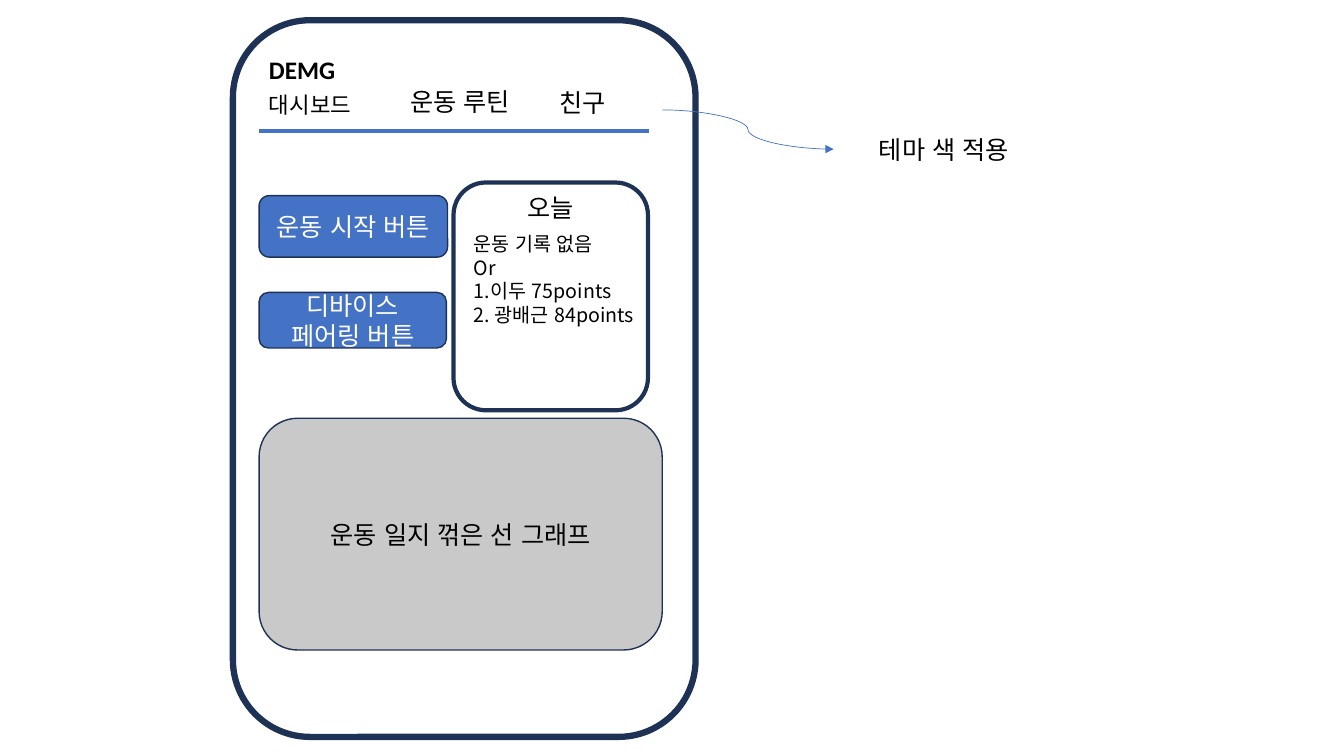
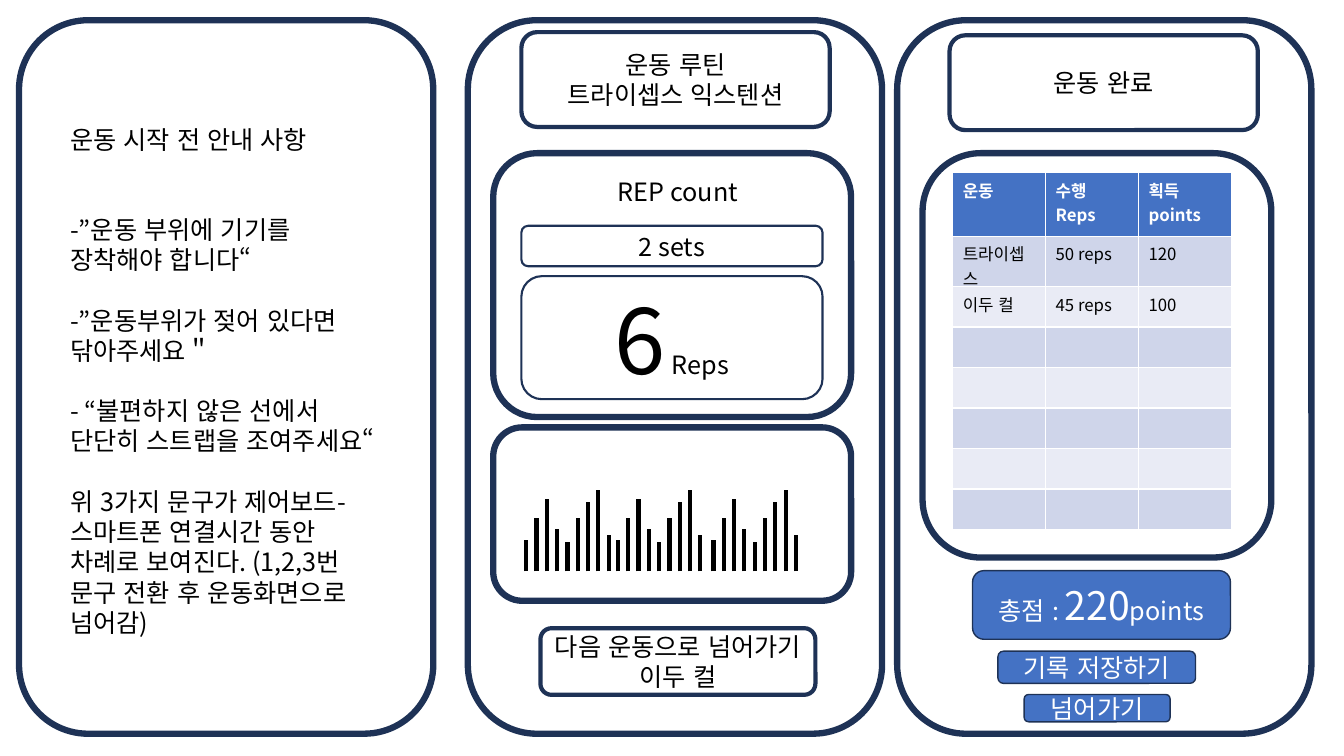
from dataclasses import dataclass
from typing import Any

from lxml.etree import SubElement
from pptx import Presentation
from pptx.dml.color import RGBColor
from pptx.enum.lang import MSO_LANGUAGE_ID as LANG
from pptx.enum.shapes import MSO_CONNECTOR as LINK, MSO_SHAPE as SHAPE
from pptx.enum.text import MSO_ANCHOR as ANCHOR, PP_ALIGN as ALIGN
from pptx.oxml.ns import qn
from pptx.util import Cm, Pt

NAVY = RGBColor(0x1E, 0x32, 0x56)
BLUE = RGBColor(0x44, 0x72, 0xC4)
GREY = RGBColor(0xC9, 0xC9, 0xC9)
DARK_BAND = RGBColor(0xCF, 0xD5, 0xEA)
PALE_BAND = RGBColor(0xE9, 0xEB, 0xF5)
BLACK = RGBColor(0, 0, 0)
WHITE = RGBColor(255, 255, 255)
FONT = "Noto Sans CJK KR"
THICK, MID, THIN, FINE = 4.5, 3, 1.5, 1

BARS = (0.79, 1.35, 1.83, 1.07, 0.74, 1.35, 1.75, 2.06, 0.91)
BAR_STEP = 0.26
WAVES = (0, 2.31, 4.72)

NOTES = (
    (0, "운동 시작 전 안내 사항"),
    (43, "-”운동 부위에 기기를 장착해야 합니다“"),
    (21.5, "-”운동부위가 젖어 있다면 닦아주세요＂"),
    (21.5, "- “불편하지 않은 선에서 단단히 스트랩을 조여주세요“"),
    (21.5, "위 3가지 문구가 제어보드-스마트폰 연결시간 동안"),
    (0, "차례로 보여진다. (1,2,3번 문구 전환 후 운동화면으로 넘어감)"),
)
HEADS = ("운동", "수행 Reps", "획득 points")
SCORES = (("트라이셉스", "50 reps", "120"), ("이두 컬", "45 reps", "100"))
BLANK_ROWS = 5


def add_run(para, text, size=18, color=BLACK, bold=False, font=FONT):
    run = para.add_run()
    run.text = text
    face = run.font
    face.size, face.bold, face.name = Pt(size), bold, font
    face.language_id = LANG.KOREAN
    face.color.rgb = color
    SubElement(run._r.get_or_add_rPr(), qn("a:ea")).set("typeface", font)


def write(frame, lines, align=None, **style):
    """Fill a text frame; a line is a string or a list of (text, size) runs."""
    for i, line in enumerate(lines):
        para = frame.paragraphs[0] if i == 0 else frame.add_paragraph()
        para.alignment = align
        if isinstance(line, str):
            add_run(para, line, **style)
        else:
            for text, size in line:
                add_run(para, text, size, **style)


@dataclass
class Pane:
    """A region of a slide; its parts are placed from its top left, in cm."""
    shapes: Any
    left: float
    top: float

    def spot(self, x, y):
        return Cm(self.left + x), Cm(self.top + y)

    def panel(self, x, y, w, h, *lines, width=FINE, fill=None, color=BLACK):
        box = self.shapes.add_shape(SHAPE.ROUNDED_RECTANGLE,
                                    *self.spot(x, y), Cm(w), Cm(h))
        box.shadow.inherit = False
        box.line.color.rgb, box.line.width = NAVY, Pt(width)
        if fill is None:
            box.fill.background()
        else:
            box.fill.solid()
            box.fill.fore_color.rgb = fill
        frame = box.text_frame
        frame.word_wrap, frame.vertical_anchor = True, ANCHOR.MIDDLE
        write(frame, lines, ALIGN.CENTER, color=color)
        return box

    def button(self, x, y, w, h, *lines):
        self.panel(x, y, w, h, *lines, fill=BLUE, color=WHITE)

    def label(self, x, y, w, h, *lines, **style):
        frame = self.shapes.add_textbox(*self.spot(x, y), Cm(w), Cm(h)).text_frame
        frame.word_wrap = True
        write(frame, lines, **style)
        return frame

    def line(self, start, end, color, width, kind=LINK.STRAIGHT, arrow=False):
        link = self.shapes.add_connector(kind, *self.spot(*start), *self.spot(*end))
        link.line.color.rgb, link.line.width = color, Pt(width)
        if arrow:
            SubElement(link.line._get_or_add_ln(), qn("a:tailEnd")).set("type", "triangle")
        SubElement(link._element.spPr, qn("a:effectLst"))

    def inner(self, x, y):
        return Pane(self.shapes, self.left + x, self.top + y)


def add_phone(slide, x, w=10.44, h=17.98):
    pane = Pane(slide.shapes, x, 0.51)
    pane.panel(0, 0, w, h, width=THICK)
    return pane


def draw_menu(pane):
    pane.label(0.66, 0.74, 2.72, 1.02, "DEMG", bold=True, font="Calibri")
    pane.label(0.66, 1.65, 3, 0.94, "대시보드", size=16)
    pane.label(4.22, 1.55, 3.45, 1.02, "운동 루틴")
    pane.label(7.98, 1.57, 2.97, 1.02, "친구")
    pane.line((0.66, 2.79), (10.49, 2.79), BLUE, MID)
    pane.line((10.82, 2.26), (15.14, 3.25), BLUE, 0.5, LINK.CURVE, arrow=True)
    pane.label(16.03, 2.74, 8.2, 1.02, "테마 색 적용")


def draw_today(pane):
    frame = pane.panel(0, 0, 4.9, 5.74, "오늘", width=MID).text_frame
    frame.vertical_anchor, frame.margin_top = ANCHOR.TOP, 0
    pane.label(0.26, 1.12, 4.72, 3.25, "운동 기록 없음", "Or",
               "1.이두 75points", "2. 광배근 84points", size=14)


def draw_home(slide):
    pane = add_phone(slide, 5.87, 11.66, 18.06)
    draw_menu(pane)
    pane.panel(0.66, 10.03, 10.16, 5.84, "운동 일지 꺾은 선 그래프", fill=GREY)
    draw_today(pane.inner(5.56, 4.09))
    pane.button(0.66, 4.42, 4.75, 1.55, "운동 시작 버튼")
    pane.button(0.66, 6.86, 4.72, 1.4, "디바이스 페어링 버튼")


def draw_guide(pane):
    frame = pane.label(1.04, 2.49, 8.53, 12.52, *(text for _, text in NOTES))
    for para, (gap, _) in zip(frame.paragraphs, NOTES):
        para.space_before = Pt(gap)


def draw_count(pane):
    pane.panel(0, 0, 9.02, 6.65, width=THICK)
    pane.label(2.89, 0.46, 4.11, 1.02, "REP count")
    pane.panel(0.71, 1.83, 7.59, 1.02, "2 sets", width=THIN)
    pane.panel(0.71, 3.1, 7.59, 3.1, [("6", 66), (" Reps", 18)], width=THIN)


def draw_signal(pane):
    pane.panel(0, 0, 9.02, 4.37, width=THICK)
    base = 3.63
    for start in WAVES:
        for i, height in enumerate(BARS):
            x = 0.83 + start + i * BAR_STEP
            pane.line((x, base), (x, base - height), BLACK, MID)


def draw_set(pane):
    pane.panel(1.35, 0.3, 7.77, 2.39, "운동 루틴", "트라이셉스 익스텐션", width=MID)
    draw_count(pane.inner(0.64, 3.35))
    draw_signal(pane.inner(0.64, 10.26))
    pane.panel(1.83, 15.32, 6.93, 1.68, "다음 운동으로 넘어가기 이두 컬", width=MID)


def draw_scores(pane):
    rows = [HEADS, *SCORES] + [("",) * len(HEADS)] * BLANK_ROWS
    col, head, body = 2.34, 1.6, 1.02
    table = pane.shapes.add_table(
        len(rows), len(HEADS), *pane.spot(0, 0), Cm(col * len(HEADS)),
        Cm(head + body * (len(rows) - 1))).table
    for part in table.columns:
        part.width = Cm(col)
    for i, row in enumerate(rows):
        table.rows[i].height = Cm(body if i else head)
        fill = (DARK_BAND if i % 2 else PALE_BAND) if i else BLUE
        for j, text in enumerate(row):
            cell = table.cell(i, j)
            cell.fill.solid()
            cell.fill.fore_color.rgb = fill
            if text:
                write(cell.text_frame, [text], size=12, bold=i == 0,
                      color=BLACK if i else WHITE)


def draw_done(pane):
    pane.panel(1.32, 0.38, 7.77, 2.39, "운동 완료", width=MID)
    pane.panel(0.64, 3.35, 8.79, 10.19, width=THICK)
    draw_scores(pane.inner(1.4, 3.84))
    pane.button(2.54, 15.9, 4.98, 0.81, "기록 저장하기")
    pane.button(3.2, 16.99, 3.68, 0.69, "넘어가기")
    pane.button(1.9, 13.87, 6.5, 1.73, [("총점 : ", 18), ("220", 28), ("points", 18)])


def draw_flow(slide):
    for x, draw in ((0.48, draw_guide), (11.79, draw_set), (22.61, draw_done)):
        draw(add_phone(slide, x))


def main():
    deck = Presentation()
    deck.slide_width, deck.slide_height = Cm(33.87), Cm(19.05)
    blank = deck.slide_layouts[6]
    for draw in (draw_home, draw_flow):
        draw(deck.slides.add_slide(blank))
    deck.save("out.pptx")


if __name__ == "__main__":
    main()
